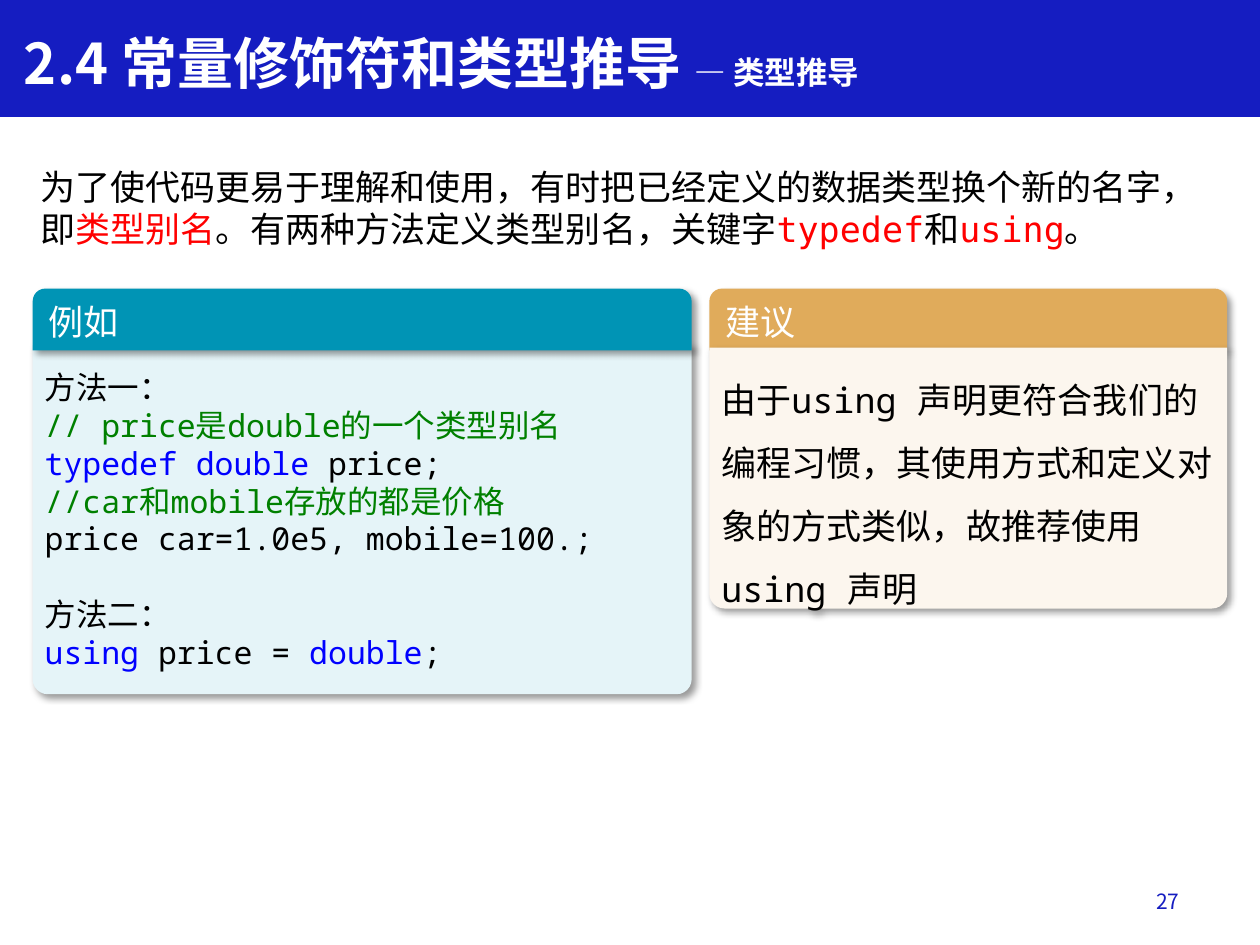
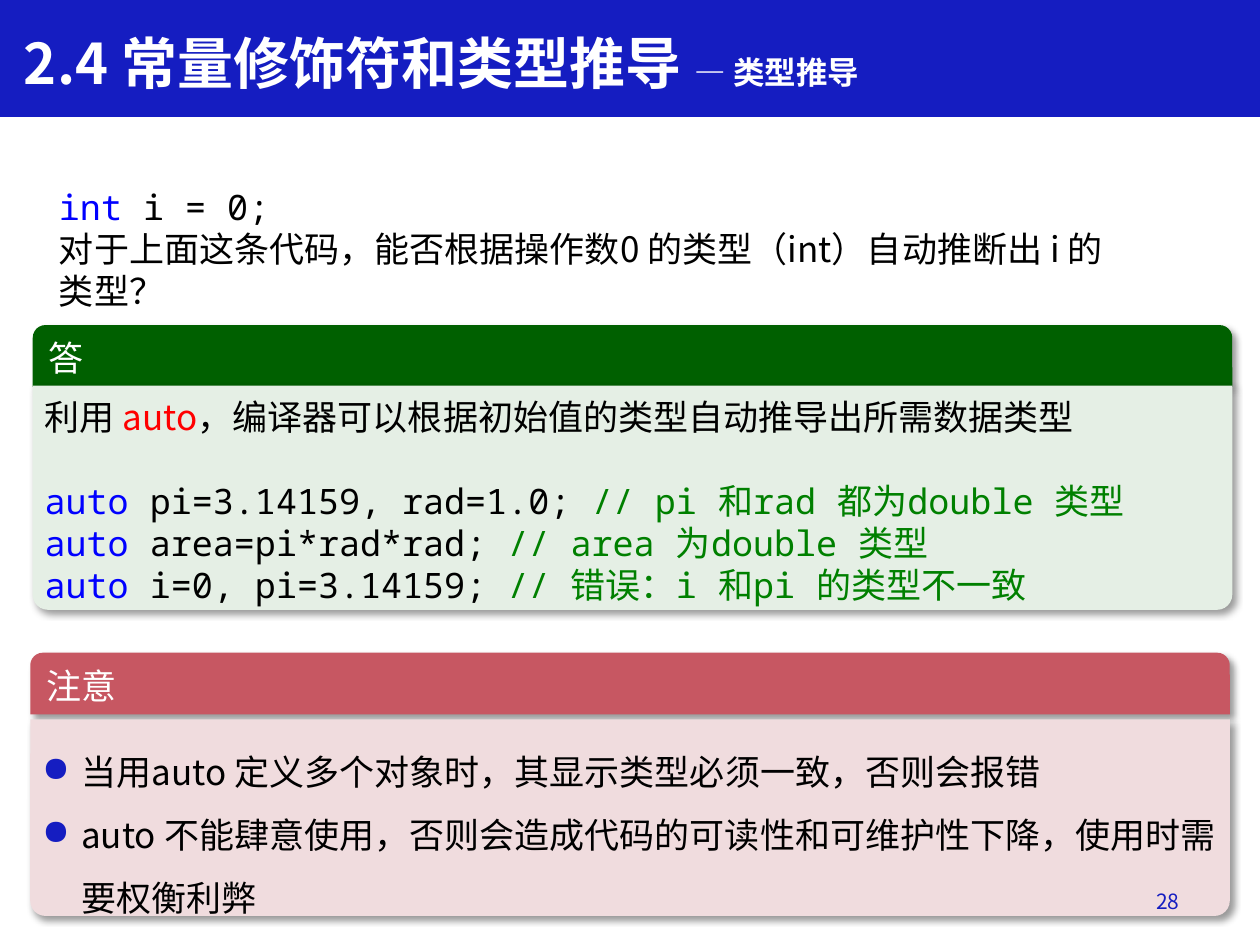
import pptx
import pptx.dml.color
import pptx.enum.shapes
import pptx.enum.text
import pptx.oxml
import pptx.oxml.ns
import pptx.util
from lxml import etree

Inches = pptx.util.Inches
Pt = pptx.util.Pt
RGBColor = pptx.dml.color.RGBColor
MSO_SHAPE = pptx.enum.shapes.MSO_SHAPE
PP_ALIGN = pptx.enum.text.PP_ALIGN
ANCHOR = pptx.enum.text.MSO_ANCHOR
qn = pptx.oxml.ns.qn

BLUE = RGBColor(0x15, 0x1D, 0xC1)
WHITE = RGBColor(0xFF, 0xFF, 0xFF)
BLACK = RGBColor(0, 0, 0)
RED = RGBColor(0xFF, 0, 0)
KEYWORD_BLUE = RGBColor(0, 0, 0xFF)
COMMENT_GREEN = RGBColor(0, 0x80, 0)
TEAL, TEAL_TINT = RGBColor(0, 0x94, 0xB5), RGBColor(0xE5, 0xF4, 0xF8)
ORANGE, ORANGE_TINT = RGBColor(0xE0, 0xAB, 0x5B), RGBColor(0xFC, 0xF6, 0xEE)
GREEN, GREEN_TINT = RGBColor(0, 0x60, 0), RGBColor(0xE5, 0xEF, 0xE5)
ROSE, ROSE_TINT = RGBColor(0xC7, 0x57, 0x62), RGBColor(0xF0, 0xDC, 0xDE)

SANS = "Noto Sans CJK SC"
MONO = "Noto Sans Mono"
STYLES = {
    "text": (SANS, BLACK),
    "term": (SANS, RED),
    "term code": ("DejaVu Sans Mono", RED),
    "code": (MONO, BLACK),
    "keyword": (MONO, KEYWORD_BLUE),
    "comment": (MONO, COMMENT_GREEN),
    "heading": (SANS, WHITE),
    "page": (SANS, BLUE),
}
LINE_FACTOR = 1.2
HEADER_HEIGHT = 0.49
CORNER = 0.12
FIRST_PAGE = 27


def add_run(paragraph, text, style, size, bold=False):
    font_name, color = STYLES[style]
    run = paragraph.add_run()
    run.text = text
    for name, value in {"name": font_name, "size": Pt(size), "bold": bold}.items():
        setattr(run.font, name, value)
    run.font.color.rgb = color
    east_asian = etree.SubElement(run.font.language_id and run._r.rPr or run._r.get_or_add_rPr(),
                                  qn("a:ea"))
    east_asian.set("typeface", SANS)


def format_frame(frame, anchor=ANCHOR.TOP, side=0.1, top=0.05):
    settings = {
        "word_wrap": True,
        "vertical_anchor": anchor,
        "margin_left": Inches(side),
        "margin_right": Inches(side),
        "margin_top": Inches(top),
        "margin_bottom": Inches(0.05),
    }
    for name, value in settings.items():
        setattr(frame, name, value)


def add_bullet(paragraph):
    properties = paragraph._p.get_or_add_pPr()
    properties.set("marL", str(Inches(0.31)))
    properties.set("indent", str(-Inches(0.31)))
    color = etree.SubElement(etree.SubElement(properties, qn("a:buClr")), qn("a:srgbClr"))
    color.set("val", str(BLUE))
    etree.SubElement(properties, qn("a:buChar")).set("char", "●")


def write_lines(frame, lines, size=20, spacing=1, bulleted=False, gap_before=None):
    """Write each line, a list of (text, style) runs; gap_before is the line after a gap."""
    pitch = Pt(size * LINE_FACTOR)
    for index, runs in enumerate(lines):
        paragraph = frame.paragraphs[0] if index == 0 else frame.add_paragraph()
        paragraph.alignment = PP_ALIGN.LEFT
        paragraph.line_spacing = Pt(size * LINE_FACTOR * spacing)
        if index == gap_before:
            paragraph.space_before = pitch
        if bulleted:
            add_bullet(paragraph)
        for text, style in runs:
            add_run(paragraph, text, style, size)


def add_text(slide, left, top, width, height, lines):
    box = slide.shapes.add_textbox(Inches(left), Inches(top), Inches(width), Inches(height))
    format_frame(box.text_frame, top=0.08)
    write_lines(box.text_frame, lines)


def add_shadow(shape):
    shape.shadow.inherit = False
    effects = shape.element.spPr.find(qn("a:effectLst"))
    shadow = etree.SubElement(effects, qn("a:outerShdw"), blurRad=str(Pt(4)), dist=str(Pt(3)),
                              dir=str(45 * 60000), algn="tl", rotWithShape="0")
    color = etree.SubElement(shadow, qn("a:srgbClr"), val="000000")
    etree.SubElement(color, qn("a:alpha"), val="40000")


def add_rounded(slide, left, top, width, height, fill, top_radius, bottom_radius):
    shape = slide.shapes.add_shape(MSO_SHAPE.ROUND_2_SAME_RECTANGLE, Inches(left), Inches(top),
                                   Inches(width), Inches(height))
    shape.adjustments[0] = top_radius / min(width, height)
    shape.adjustments[1] = bottom_radius / min(width, height)
    shape.fill.solid()
    shape.fill.fore_color.rgb = fill
    shape.line.fill.background()
    add_shadow(shape)
    return shape


def add_panel_header(slide, heading, left, top, width, fill):
    header = add_rounded(slide, left, top, width, HEADER_HEIGHT, fill, 0.1, 0)
    format_frame(header.text_frame, ANCHOR.MIDDLE)
    write_lines(header.text_frame, [[(heading, "heading")]])


def add_panel_body(slide, left, top, width, height, fill, lines, anchor=ANCHOR.TOP, **layout):
    body = add_rounded(slide, left, top, width, height, fill, 0, CORNER)
    format_frame(body.text_frame, anchor, side=0.06, top=0.08)
    write_lines(body.text_frame, lines, **layout)


def add_band(slide, layout, width):
    """Put the title band behind everything on the shared layout."""
    band = slide.shapes.add_shape(MSO_SHAPE.RECTANGLE, 0, 0, width, Inches(0.92))
    band.fill.solid()
    band.fill.fore_color.rgb = BLUE
    band.line.color.rgb = BLUE
    band.line.width = Pt(1)
    band.shadow.inherit = False
    layout.placeholders[0].element.addprevious(band.element)


def add_title(slide):
    title = slide.shapes.title
    box = {"left": 0.09, "top": 0.17, "width": 9.31, "height": 0.64}
    for name, value in box.items():
        setattr(title, name, Inches(value))
    format_frame(title.text_frame, ANCHOR.MIDDLE)
    title.text_frame.auto_size = pptx.enum.text.MSO_AUTO_SIZE.NONE
    paragraph = title.text_frame.paragraphs[0]
    paragraph.alignment = PP_ALIGN.LEFT
    add_run(paragraph, "2.4 常量修饰符和类型推导 ", "heading", 32, bold=True)
    add_run(paragraph, "— 类型推导", "heading", 18, bold=True)


def add_page_number(slide, number):
    box = slide.shapes.add_textbox(Inches(7.21), Inches(6.95), Inches(2.25), Inches(0.4))
    format_frame(box.text_frame, ANCHOR.MIDDLE)
    paragraph = box.text_frame.paragraphs[0]
    paragraph.alignment = PP_ALIGN.RIGHT
    add_run(paragraph, str(number), "page", 12)


def fill_alias_slide(slide):
    add_text(slide, 0.22, 1.23, 9.5, 0.77, [
        [("为了使代码更易于理解和使用，有时把已经定义的数据类型换个新的名字，", "text")],
        [("即", "text"), ("类型别名", "term"),
         ("。有两种方法定义类型别名，关键字", "text"), ("typedef", "term code"),
         ("和", "text"), ("using", "term code"), ("。", "text")],
    ])
    add_panel_body(slide, 0.26, 2.74, 5.23, 2.77, TEAL_TINT, [
        [("方法一：", "text")],
        [("// price是double的一个类型别名", "comment")],
        [("typedef double ", "keyword"), ("price;", "code")],
        [("//car和mobile存放的都是价格", "comment")],
        [("price car=1.0e5, mobile=100.;", "code")],
        [("方法二：", "text")],
        [("using ", "keyword"), ("price = ", "code"), ("double", "keyword"), (";", "code")],
    ], anchor=ANCHOR.MIDDLE, size=18, gap_before=5)
    add_panel_header(slide, "例如", 0.26, 2.29, 5.23, TEAL)
    add_panel_header(slide, "建议", 5.63, 2.29, 4.11, ORANGE)
    add_panel_body(slide, 5.63, 2.76, 4.11, 2.07, ORANGE_TINT, [
        [("由于using 声明更符合我们的编程习惯，其使用方式和定义对象的方式类似，"
          "故推荐使用using 声明", "code")],
    ], spacing=1.5)


def fill_auto_slide(slide):
    add_text(slide, 0.37, 1.39, 8.7, 1.11, [
        [("int ", "keyword"), ("i = 0;", "code")],
        [("对于上面这条代码，能否根据操作数0 的类型（int）自动推断出 i 的类型？", "text")],
    ])
    add_panel_header(slide, "注意", 0.24, 5.18, 9.52, ROSE)
    add_panel_body(slide, 0.24, 5.71, 9.52, 1.56, ROSE_TINT, [
        [("当用auto 定义多个对象时，其显示类型必须一致，否则会报错", "text")],
        [("auto 不能肆意使用，否则会造成代码的可读性和可维护性下降，"
          "使用时需要权衡利弊", "text")],
    ], spacing=1.5, bulleted=True)
    add_panel_header(slide, "答", 0.26, 2.58, 9.52, GREEN)
    examples = [
        ("pi=3.14159, rad=1.0; ", "// pi 和rad 都为double 类型"),
        ("area=pi*rad*rad; ", "// area 为double 类型"),
        ("i=0, pi=3.14159; ", "// 错误：i 和pi 的类型不一致"),
    ]
    answer = [("利用 ", "text"), ("auto", "term"),
              ("，编译器可以根据初始值的类型自动推导出所需数据类型", "text")]
    code_lines = [[("auto ", "keyword"), (code, "code"), (comment, "comment")]
                  for code, comment in examples]
    add_panel_body(slide, 0.26, 3.06, 9.52, 1.78, GREEN_TINT, [answer] + code_lines,
                   gap_before=1)


def main():
    presentation = pptx.Presentation()
    presentation.slide_width = Inches(10)
    presentation.slide_height = Inches(7.5)
    layout = presentation.slide_layouts.get_by_name("Title Only")
    for number, fill_slide in enumerate((fill_alias_slide, fill_auto_slide), FIRST_PAGE):
        slide = presentation.slides.add_slide(layout)
        if number == FIRST_PAGE:
            add_band(slide, layout, presentation.slide_width)
        add_title(slide)
        fill_slide(slide)
        add_page_number(slide, number)
    presentation.save("out.pptx")


if __name__ == "__main__":
    main()
